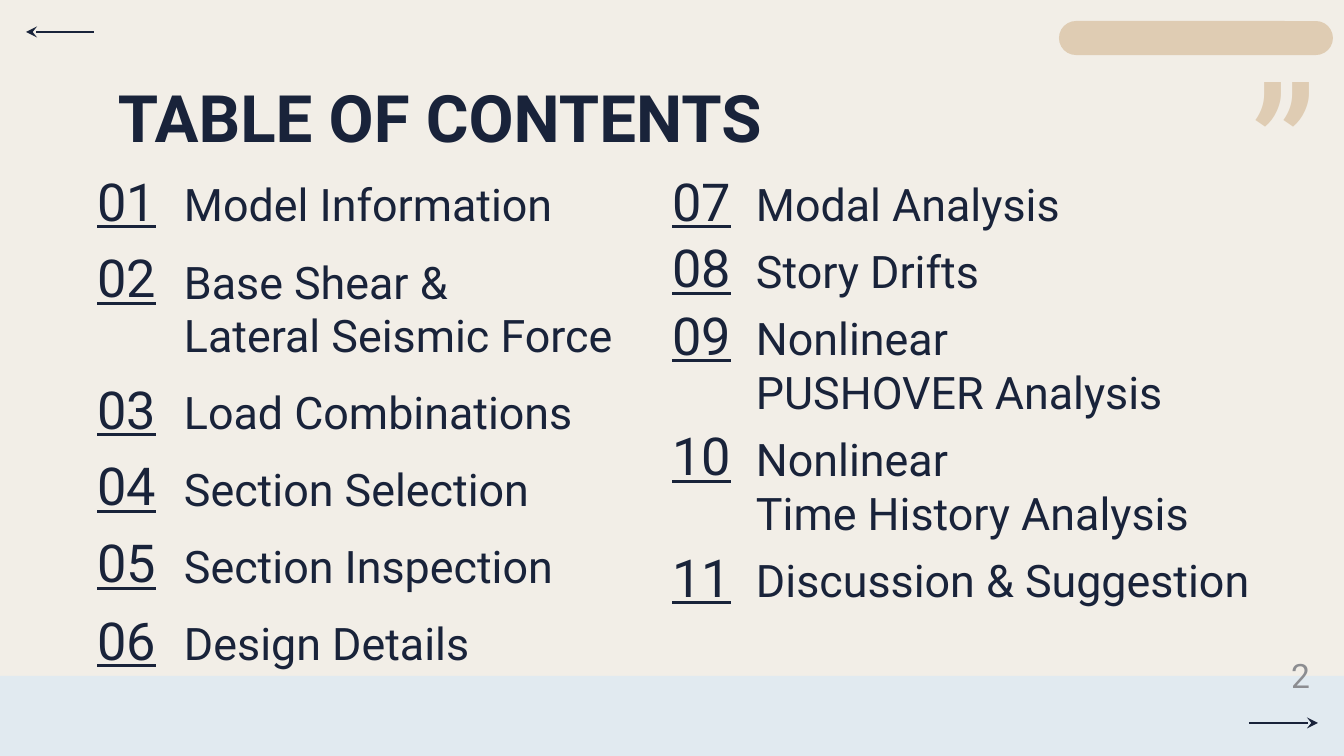
"""Build the table of contents slide."""
from lxml.etree import SubElement
from pptx import Presentation
from pptx.dml.color import RGBColor
from pptx.enum.shapes import MSO_CONNECTOR, MSO_SHAPE
from pptx.enum.text import MSO_ANCHOR, MSO_AUTO_SIZE, PP_ALIGN
from pptx.oxml.ns import qn
from pptx.util import Emu, Pt

COLORS = {"bg": "F2EEE7", "band": "E1EAF0", "sand": "DFCCB3",
          "navy": "19233A", "grey": "8C8D91"}
FONT = "Roboto"

TITLE = "TABLE OF CONTENTS"
COLUMNS = [
    {"number_x": 73, "text_x": 171, "overlap": 5, "first": 1, "items": [
        ["Model Information"],
        ["Base Shear &", "Lateral Seismic Force"],
        ["Load Combinations"],
        ["Section Selection"],
        ["Section Inspection"],
        ["Design Details"],
    ]},
    {"number_x": 648, "text_x": 743, "overlap": 15, "first": 7, "items": [
        ["Modal Analysis"],
        ["Story Drifts"],
        ["Nonlinear", "PUSHOVER Analysis"],
        ["Nonlinear", "Time History Analysis"],
        ["Discussion & Suggestion"],
    ]},
]
SHAPES = [
    (MSO_SHAPE.RECTANGLE, (0, 676, 1344, 80), "band"),
    (MSO_SHAPE.ROUNDED_RECTANGLE, (1059, 21, 274, 34), "sand"),
]
ARROWS = [(1249, 723, 1318, 723), (94, 32, 26, 32)]

TOP, LINE_H, PADDING = 163, 54, 28
NUMBER_DROP, NUMBER_W, NUMBER_H, ITEM_W = 4, 107, 78, 574
INSET = 13

TITLE_STYLE = {"size": 35, "color": "navy", "bold": True, "spacing": 0.8}
ITEM_STYLE = {"size": 24, "color": "navy", "anchor": MSO_ANCHOR.MIDDLE, "grow": True}
NUMBER_STYLE = {"size": 28, "color": "navy", "anchor": MSO_ANCHOR.MIDDLE, "grow": True,
                "underline": True, "align": PP_ALIGN.CENTER, "spacing": 0.8}
QUOTE_STYLE = {"size": 100, "color": "sand"}
PAGE_STYLE = {"size": 18, "color": "grey", "anchor": MSO_ANCHOR.MIDDLE,
              "align": PP_ALIGN.RIGHT, "inset_y": 7}


def px(n):
    return Emu(round(n * 914400 / 134.4))


def rgb(name):
    return RGBColor.from_string(COLORS[name])


def write(sp, lines, style):
    tf = sp.text_frame
    inset_y = style.get("inset_y", INSET)
    frame = {"word_wrap": True,
             "vertical_anchor": style.get("anchor", MSO_ANCHOR.TOP),
             "auto_size": MSO_AUTO_SIZE.SHAPE_TO_FIT_TEXT if style.get("grow")
             else MSO_AUTO_SIZE.NONE,
             "margin_left": px(INSET), "margin_right": px(INSET),
             "margin_top": px(inset_y), "margin_bottom": px(inset_y)}
    for name, value in frame.items():
        setattr(tf, name, value)
    for i, line in enumerate(lines):
        p = tf.paragraphs[0] if i == 0 else tf.add_paragraph()
        p.alignment = style.get("align", PP_ALIGN.LEFT)
        p.line_spacing = style.get("spacing", 1.0)
        r = p.add_run()
        r.text = line
        font = {"name": FONT, "size": Pt(style["size"]),
                "bold": style.get("bold", False),
                "underline": style.get("underline", False)}
        for name, value in font.items():
            setattr(r.font, name, value)
        r.font.color.rgb = rgb(style["color"])


def add_text(s, box, lines, style):
    write(s.shapes.add_textbox(*map(px, box)), lines, style)


def add_shape(s, kind, box, color):
    sp = s.shapes.add_shape(kind, *map(px, box))
    sp.shadow.inherit = False
    sp.fill.solid()
    sp.fill.fore_color.rgb = rgb(color)
    sp.line.fill.background()
    if kind == MSO_SHAPE.ROUNDED_RECTANGLE:
        sp.adjustments[0] = 0.5


def add_arrow(s, ends):
    line = s.shapes.add_connector(MSO_CONNECTOR.STRAIGHT, *map(px, ends))
    line.line.width = Pt(0.75)
    line.line.color.rgb = rgb("navy")
    SubElement(line.line._get_or_add_ln(), qn("a:tailEnd"), type="stealth")
    SubElement(line._element.spPr, qn("a:effectLst"))


def add_column(s, column):
    y = TOP
    for number, lines in enumerate(column["items"], column["first"]):
        height = LINE_H * len(lines) + PADDING
        add_text(s, (column["text_x"], y, ITEM_W, height), lines, ITEM_STYLE)
        add_text(s, (column["number_x"], y + NUMBER_DROP, NUMBER_W, NUMBER_H),
                 [f"{number:02}"], NUMBER_STYLE)
        y += height - column["overlap"]


def main():
    prs = Presentation()
    prs.slide_width, prs.slide_height = px(1344), px(756)
    s = prs.slides.add_slide(prs.slide_layouts[5])
    s.background.fill.solid()
    s.background.fill.fore_color.rgb = rgb("bg")
    for shape in SHAPES:
        add_shape(s, *shape)
    add_text(s, (1239, 23, 105, 112), ["’’"], QUOTE_STYLE)
    title = s.shapes.title
    title.left, title.top, title.width, title.height = map(px, (105, 79, 1134, 85))
    write(title, [TITLE], TITLE_STYLE)
    for ends in ARROWS:
        add_arrow(s, ends)
    add_text(s, (1021, 655, 302, 40), ["2"], PAGE_STYLE)
    for column in COLUMNS:
        add_column(s, column)
    prs.save("out.pptx")


if __name__ == "__main__":
    main()
